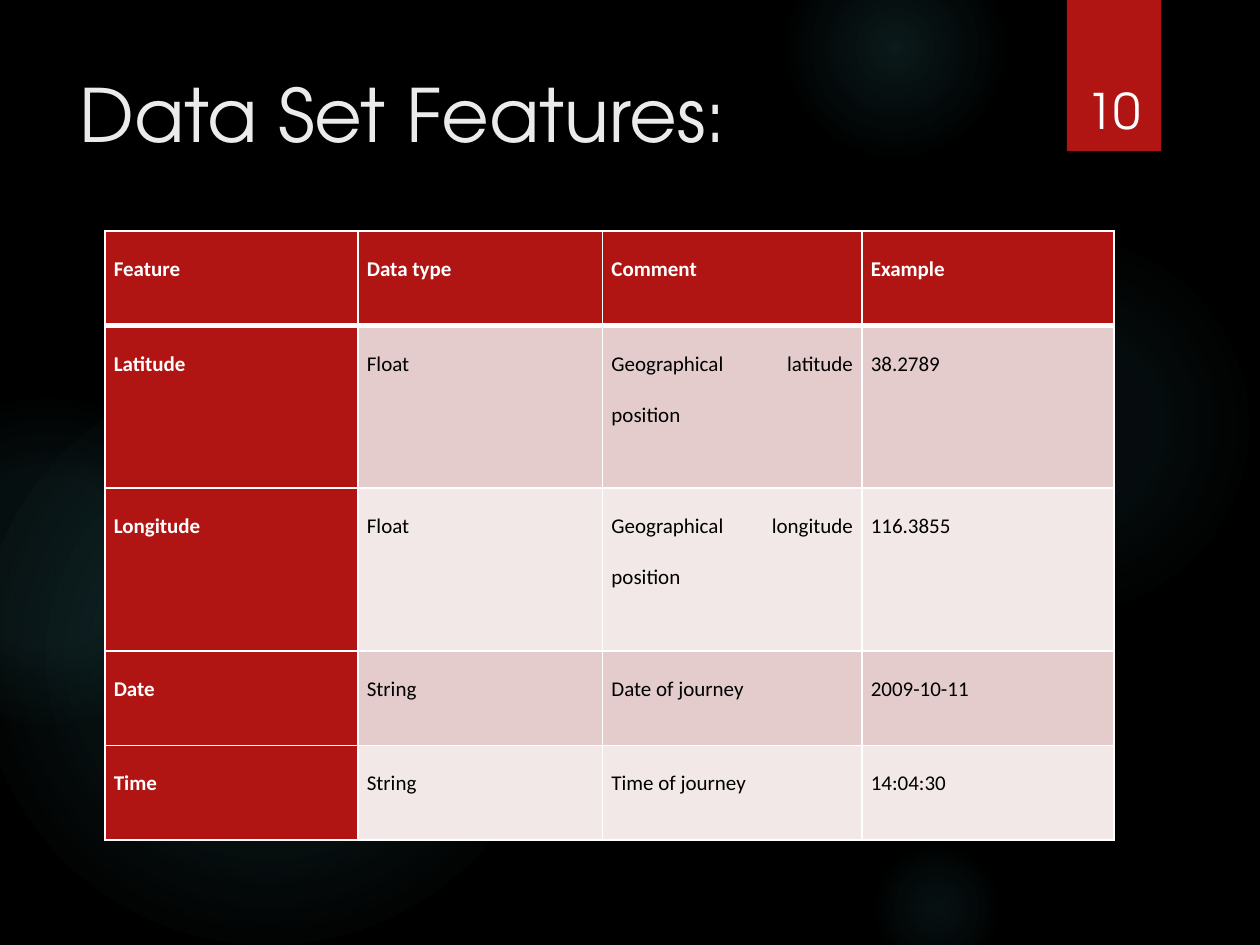
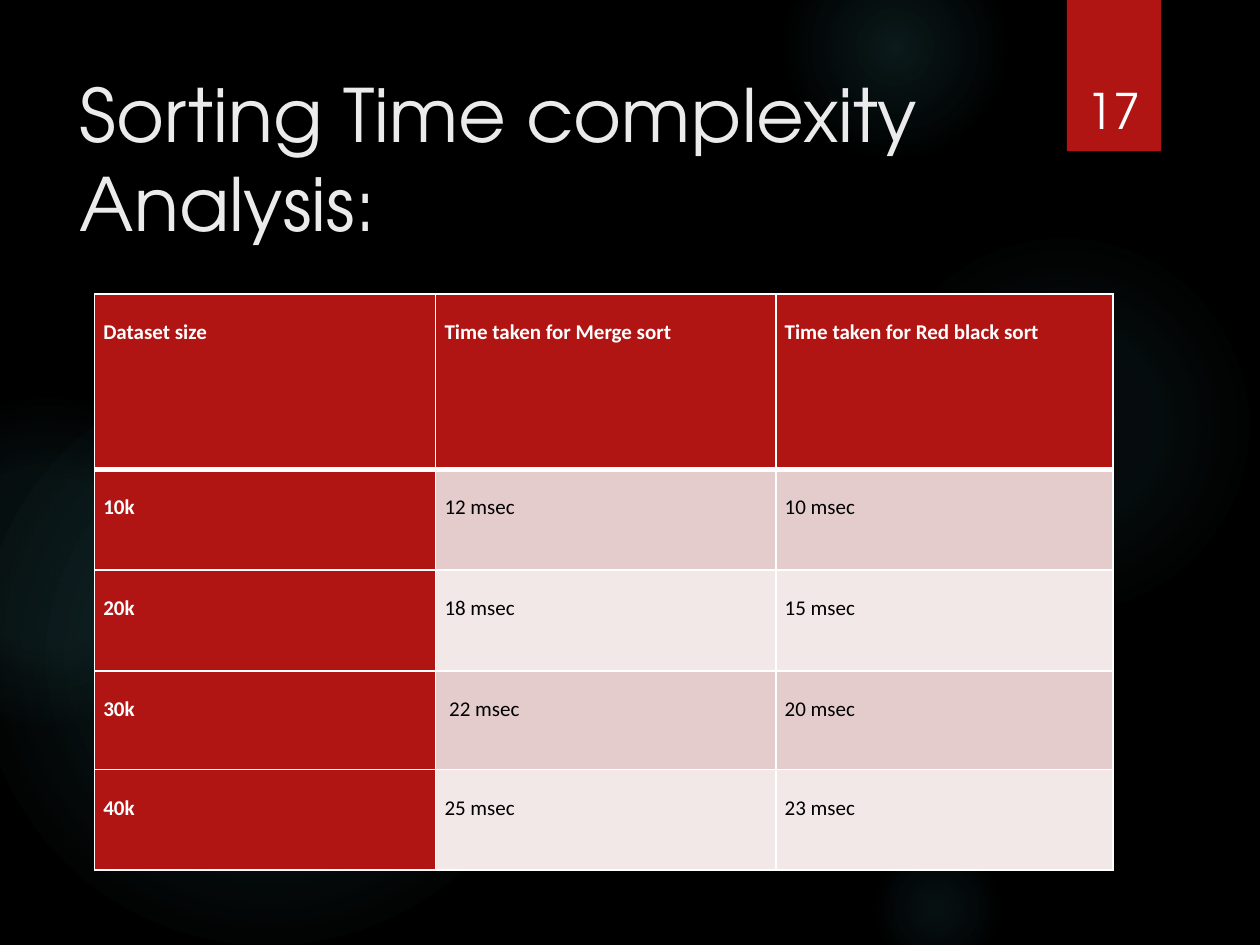
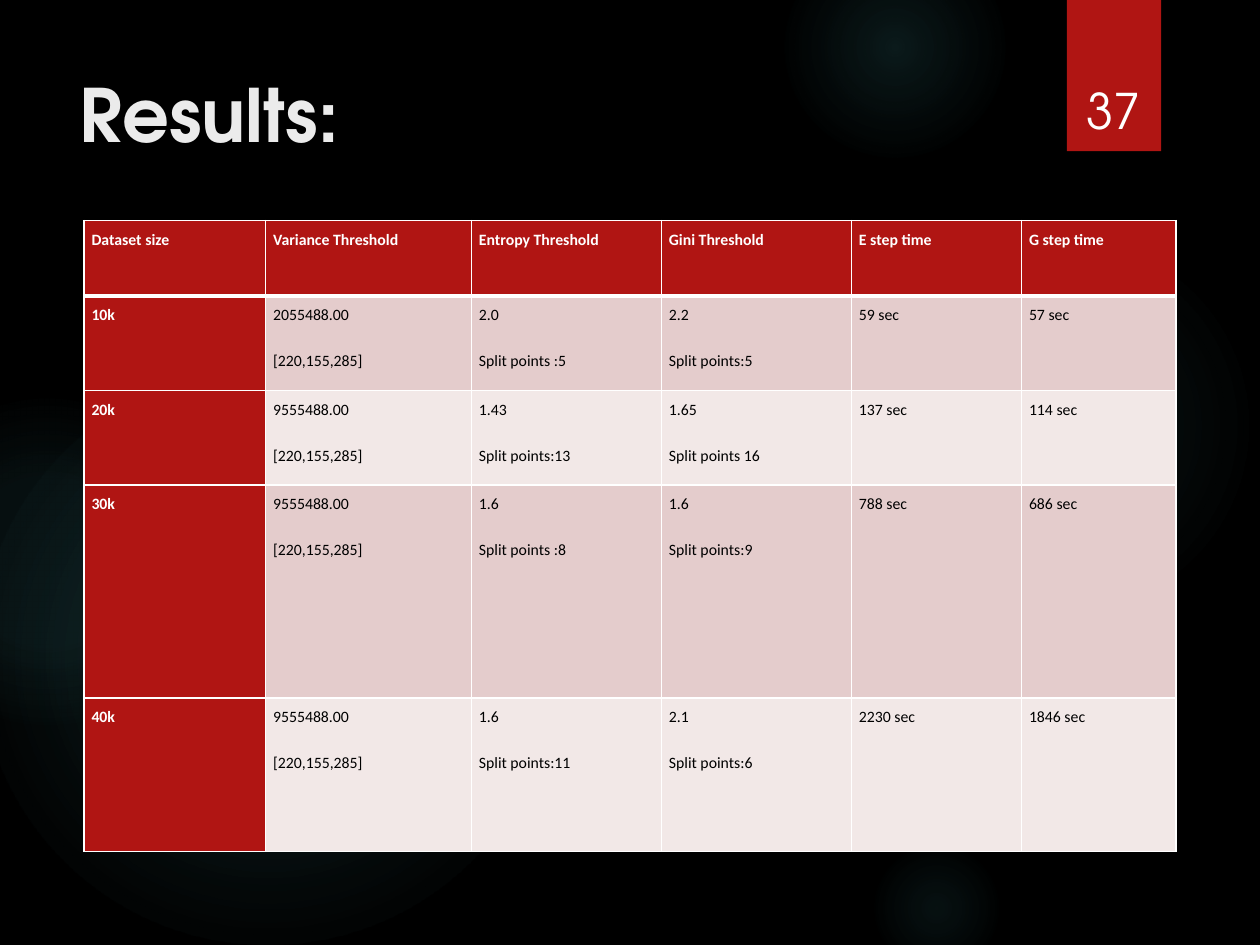
from pptx import Presentation
from pptx.dml.color import RGBColor
from pptx.enum.shapes import MSO_SHAPE
from pptx.enum.text import MSO_ANCHOR, MSO_AUTO_SIZE, PP_ALIGN
from pptx.oxml import parse_xml
from pptx.oxml.ns import nsdecls, qn
from pptx.util import Inches, Pt

COLOURS = {
    "background": "000000",
    "glow": "50B9C1",
    "accent": "B01513",
    "title": "EBEBEB",
    "light": "FFFFFF",
    "dark": "000000",
    "odd row": "E4CCCC",
    "even row": "F2E8E7",
}
HEADING_FONT = "TeX Gyre Adventor"
TABLE_FONT = "Calibri"

# The slide is a grid of 120 columns by 90 rows, twelve cells to the inch.
CELLS_PER_INCH = 12
TITLE_PLACE = (6.4, 6, 92.6, 18.4)
RIBBON_PLACE = (101.6, 0, 9, 14.4)
NUMBER_PLACE = (101.9, 3.8, 8.3, 10.1)

# Left, top, diameter, then gradient stops as (position, opacity) in percent.
GLOWS = [
    (82.7, 22, 37, [(0, 7), (36, 6), (69, 0)]),
    (74.7, -6, 21, [(0, 14), (36, 7), (73, 0)]),
    (82.7, 80, 13, [(0, 9), (36, 5), (66, 0)]),
    (-2, 35, 55, [(0, 11), (36, 10), (75, 0)]),
    (-11, 38, 31, [(0, 8), (36, 8), (72, 0)]),
]


def grid(*cells):
    return [Inches(cell / CELLS_PER_INCH) for cell in cells]


def colour(name):
    return RGBColor.from_string(COLOURS[name])


class DarkDeck:
    """Holds the style, the presentation and the slide being filled."""

    def __init__(self):
        self.deck = Presentation()
        self.deck.slide_width, self.deck.slide_height = grid(120, 90)
        self.layout = self.deck.slide_layouts.get_by_name("Title Only")
        for placeholder in list(self.layout.placeholders)[1:]:
            self.layout.shapes.element.remove(placeholder.element)
        fill = self.layout.background.fill
        fill.solid()
        fill.fore_color.rgb = colour("background")
        self.page = None

    def add_page(self, title, number, bold=False):
        self.page = self.deck.slides.add_slide(self.layout)
        if len(self.deck.slides) == 1:
            self.build_backdrop()
        self.set_title(title, bold)
        self.add_number(number)

    def build_backdrop(self):
        """Draws the shared shapes and moves them to the layout."""
        shapes = [self.add_glow(*glow) for glow in GLOWS] + [self.add_ribbon()]
        for shape in shapes:
            self.layout.shapes.element.append(shape.element)

    def add_plain_shape(self, kind, place):
        shape = self.page.shapes.add_shape(kind, *grid(*place))
        shape.shadow.inherit = False
        shape.line.fill.background()
        return shape

    def add_glow(self, left, top, size, stops):
        glow = self.add_plain_shape(MSO_SHAPE.OVAL, (left, top, size, size))
        glow.fill.background()
        stop_list = "".join(
            f'<a:gs pos="{position * 1000}"><a:srgbClr val="{COLOURS["glow"]}">'
            f'<a:alpha val="{opacity * 1000}"/></a:srgbClr></a:gs>'
            for position, opacity in stops)
        gradient = parse_xml(
            f'<a:gradFill {nsdecls("a")} rotWithShape="1"><a:gsLst>{stop_list}</a:gsLst>'
            '<a:path path="circle"><a:fillToRect l="50000" t="50000" r="50000" b="50000"/>'
            '</a:path></a:gradFill>')
        properties = glow.element.spPr
        properties.replace(properties.find(qn("a:noFill")), gradient)
        return glow

    def add_ribbon(self):
        ribbon = self.add_plain_shape(MSO_SHAPE.RECTANGLE, RIBBON_PLACE)
        ribbon.fill.solid()
        ribbon.fill.fore_color.rgb = colour("accent")
        ribbon.element.spPr.find(qn("a:effectLst")).append(parse_xml(
            f'<a:outerShdw {nsdecls("a")} blurRad="{Pt(3)}" dist="{Pt(2)}" dir="5400000">'
            '<a:srgbClr val="000000"><a:alpha val="45000"/></a:srgbClr></a:outerShdw>'))
        return ribbon

    def add_span(self, para, text, size, shade, font=HEADING_FONT, bold=False):
        span = para.add_run()
        span.text = text
        span.font.name = font
        span.font.size = Pt(size)
        span.font.bold = bold
        span.font.color.rgb = colour(shade)

    def set_title(self, text, bold):
        title = self.page.shapes.title
        title.left, title.top, title.width, title.height = grid(*TITLE_PLACE)
        frame = title.text_frame
        frame.word_wrap = True
        frame.auto_size = MSO_AUTO_SIZE.NONE
        frame.vertical_anchor = MSO_ANCHOR.TOP
        para = frame.paragraphs[0]
        para.alignment = PP_ALIGN.LEFT
        self.add_span(para, text, 42, "title", bold=bold)

    def add_number(self, number):
        box = self.page.shapes.add_textbox(*grid(*NUMBER_PLACE))
        frame = box.text_frame
        frame.word_wrap = True
        frame.vertical_anchor = MSO_ANCHOR.BOTTOM
        para = frame.paragraphs[0]
        para.alignment = PP_ALIGN.CENTER
        self.add_span(para, str(number), 28, "light")

    def add_table(self, left, top, widths, heights, rows, size=12, spacing=2, margin=0.07):
        frame = self.page.shapes.add_table(
            len(rows), len(widths), *grid(left, top, sum(widths), sum(heights)))
        table = frame.table
        table.first_col = True
        table.horz_banding = False
        for column, width in zip(table.columns, grid(*widths)):
            column.width = width
        for row, height in zip(table.rows, grid(*heights)):
            row.height = height
        for row_index, row in enumerate(rows):
            for column_index, text in enumerate(row):
                cell = table.cell(row_index, column_index)
                self.style_cell(cell, row_index, column_index, margin)
                heading = row_index == 0 or column_index == 0
                self.write_cell(cell, text, heading, size, spacing)

    def style_cell(self, cell, row_index, column_index, margin):
        cell.margin_left = cell.margin_right = Inches(margin)
        cell.margin_top = cell.margin_bottom = 0
        widths = {"L": 1, "R": 1,
                  "T": 3 if row_index == 1 else 1,
                  "B": 3 if row_index == 0 else 1}
        properties = cell._tc.get_or_add_tcPr()
        for side, width in widths.items():
            properties.append(parse_xml(
                f'<a:ln{side} {nsdecls("a")} w="{Pt(width)}"><a:solidFill>'
                f'<a:srgbClr val="{COLOURS["light"]}"/></a:solidFill></a:ln{side}>'))
        if row_index == 0 or column_index == 0:
            shade = "accent"
        else:
            shade = "odd row" if row_index % 2 else "even row"
        cell.fill.solid()
        cell.fill.fore_color.rgb = colour(shade)

    def write_cell(self, cell, text, heading, size, spacing):
        frame = cell.text_frame
        for index, line in enumerate(text.split("\n")):
            para = frame.add_paragraph() if index else frame.paragraphs[0]
            para.alignment = PP_ALIGN.JUSTIFY
            para.line_spacing = spacing
            para.space_after = Pt(10)
            shade = "light" if heading else "dark"
            self.add_span(para, line, size, shade, TABLE_FONT, heading)


def main():
    show = DarkDeck()

    show.add_page("Data Set Features:", 10)
    show.add_table(10, 22, [24.1, 23.3, 24.7, 24], [9, 15.5, 15.5, 9, 9], [
        ["Feature", "Data type", "Comment", "Example"],
        ["Latitude", "Float", "Geographical latitude position", "38.2789"],
        ["Longitude", "Float", "Geographical longitude position", "116.3855"],
        ["Date", "String", "Date of journey", "2009-10-11"],
        ["Time", "String", "Time of journey", "14:04:30"],
    ])

    show.add_page("Sorting Time complexity Analysis:", 17)
    show.add_table(9, 28, [32.5, 32.4, 32.1], [16.7, 9.6, 9.6, 9.4, 9.6], [
        ["Dataset size", "Time taken for Merge sort", "Time taken for Red black sort"],
        ["10k", "12 msec", "10 msec"],
        ["20k", "18 msec", "15 msec"],
        ["30k", " 22 msec", "20 msec"],
        ["40k", "25 msec", "23 msec"],
    ])

    show.add_page("Results:", 37, bold=True)
    splits = "[220,155,285]"
    show.add_table(8, 21, [17.3, 19.6, 18.1, 18.1, 16.2, 14.7], [7.2, 9, 9, 20.3, 14.6], [
        ["Dataset size", "Variance Threshold", "Entropy Threshold",
         "Gini Threshold", "E step time", "G step time"],
        ["10k", f"2055488.00\n{splits}", "2.0\nSplit points :5",
         "2.2\nSplit points:5", "59 sec", "57 sec"],
        ["20k", f"9555488.00\n{splits}", "1.43\nSplit points:13",
         "1.65\nSplit points 16", "137 sec", "114 sec"],
        ["30k", f"9555488.00\n{splits}", "1.6\nSplit points :8",
         "1.6\nSplit points:9", "788 sec", "686 sec"],
        ["40k", f"9555488.00\n{splits}", "1.6\nSplit points:11",
         "2.1\nSplit points:6", "2230 sec", "1846 sec"],
    ], size=9, spacing=1.5, margin=0.06)

    show.deck.save("out.pptx")


if __name__ == "__main__":
    main()
